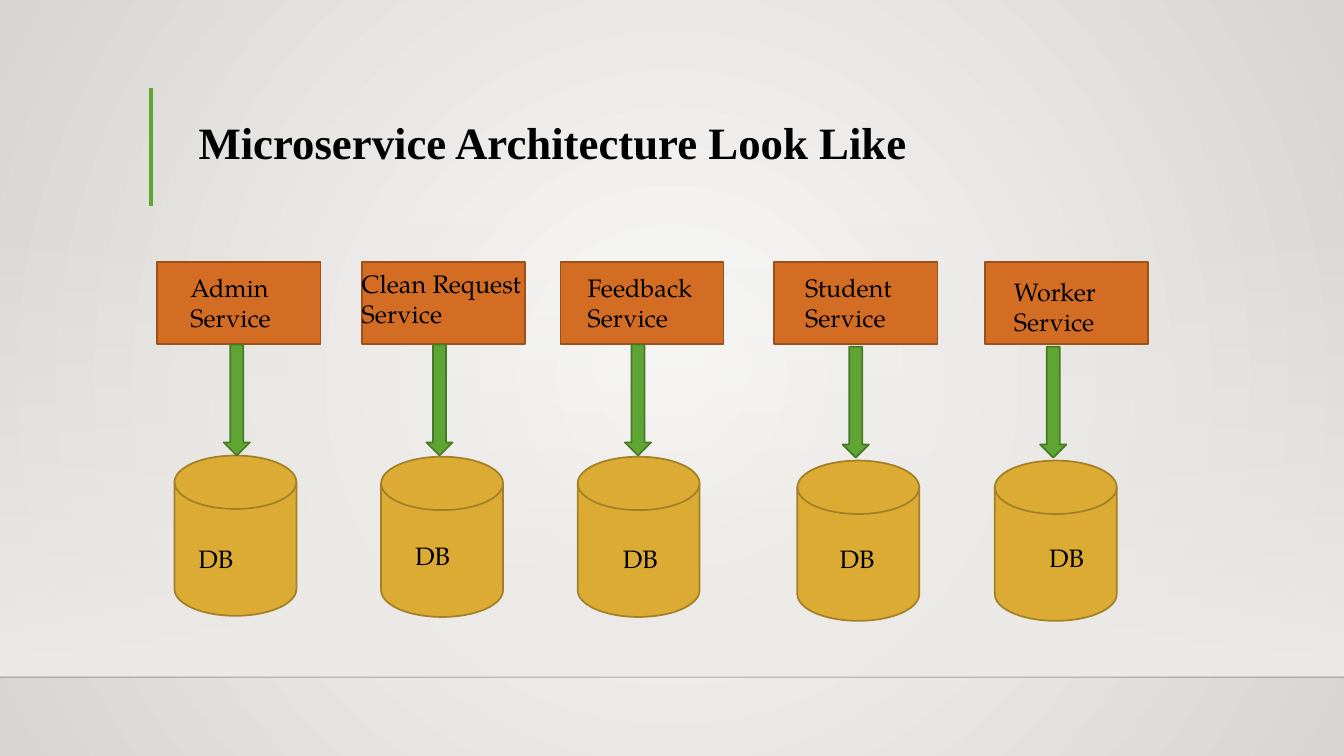
from lxml.etree import SubElement
from pptx import Presentation
from pptx.dml.color import RGBColor
from pptx.enum.shapes import MSO_CONNECTOR, MSO_SHAPE
from pptx.enum.text import MSO_ANCHOR, MSO_AUTO_SIZE, PP_ALIGN
from pptx.oxml.ns import qn
from pptx.util import Pt

COLORS = {
    "glow": "FAFAF9", "edge": "D7D5D2", "panel": "EDEBE7", "text": "000000",
    "floor": "000001", "green": "5FA534", "green_line": "467A26",
    "service": "D26D23", "service_line": "9B511A",
    "database": "DCAB34", "database_line": "A37F26",
}
BODY_FONT = {"name": "TeX Gyre Pagella", "size": Pt(18), "bold": False}
TITLE_FONT = {"name": "Times New Roman", "size": Pt(32), "bold": True}
PAGE_WIDTH, PAGE_HEIGHT = 960, 540
SERVICE_TOP, SERVICE_WIDTH, SERVICE_HEIGHT = 187, 116.6, 59
ARROW_WIDTH, ARROW_HEIGHT = 18.7, 79.2
DISK_WIDTH, DISK_HEIGHT = 87.1, 114.5
DB_WIDTH, DB_HEIGHT = 60, 29

# Service name, box left, label (left, top, width), arrow (left, top),
# disk (left, top), database label (left, top)
SERVICES = [
    ("Admin Service", 112.3, (128.9, 190.8, 74.9), (159.8, 246.2), (124.6, 325.4), (134.6, 384.5)),
    ("Clean Request Service", 258.5, (251.3, 187.9, 136.1), (304.6, 246.2), (272.2, 326.2), (289.4, 382.3)),
    ("Feedback Service", 400.3, (412.6, 190.8, 92.2), (446.4, 246.2), (412.6, 326.2), (437.8, 384.5)),
    ("Student Service", 553, (568.1, 190.8, 89.3), (601.9, 247.7), (569.5, 329), (592.6, 384.5)),
    ("Worker Service", 703.4, (717.1, 193.7, 89.3), (743, 247.7), (710.6, 329), (742.3, 383.8)),
]


def color(name):
    return RGBColor.from_string(COLORS[name])


def set_alpha(parent, percent):
    for node in parent.iter(qn("a:srgbClr")):
        SubElement(node, qn("a:alpha"), val=str(percent * 1000))


def set_gradient(fill, first, last):
    fill.gradient()
    for stop, name, position in zip(fill.gradient_stops, (first, last), (0, 1)):
        stop.color.rgb = color(name)
        stop.position = position


def set_background(page):
    fill = page.background.fill
    set_gradient(fill, "glow", "edge")
    gradient = next(page._element.iter(qn("a:gradFill")))
    gradient.remove(gradient.find(qn("a:lin")))
    path_node = SubElement(gradient, qn("a:path"), path="circle")
    SubElement(path_node, qn("a:fillToRect"), l="50000", t="50000", r="50000", b="50000")


def add_panel(page, left, top, width, height):
    panel = page.shapes.add_shape(MSO_SHAPE.RECTANGLE, Pt(left), Pt(top), Pt(width), Pt(height))
    panel.shadow.inherit = False
    panel.line.fill.background()
    set_gradient(panel.fill, "panel", "panel")
    panel.fill.gradient_angle = 270
    set_alpha(next(panel._element.iter(qn("a:gs"))), 0)


def add_rule(page, start, end, name, width, alpha=None):
    rule = page.shapes.add_connector(MSO_CONNECTOR.STRAIGHT, *map(Pt, start + end))
    rule.line.color.rgb = color(name)
    rule.line.width = Pt(width)
    if alpha is not None:
        set_alpha(rule._element.spPr, alpha)
    SubElement(rule._element.spPr, qn("a:effectLst"))


def add_block(page, kind, left, top, width, height, name):
    block = page.shapes.add_shape(kind, Pt(left), Pt(top), Pt(width), Pt(height))
    block.shadow.inherit = False
    block.fill.solid()
    block.fill.fore_color.rgb = color(name)
    block.line.color.rgb = color(name + "_line")
    block.line.width = Pt(1.25)


def write_text(box, text, font):
    frame = box.text_frame
    settings = {"word_wrap": True, "auto_size": MSO_AUTO_SIZE.SHAPE_TO_FIT_TEXT,
                "vertical_anchor": MSO_ANCHOR.TOP}
    for key, value in settings.items():
        setattr(frame, key, value)
    para = frame.paragraphs[0]
    para.alignment = PP_ALIGN.LEFT
    span = para.add_run()
    span.text = text
    for key, value in font.items():
        setattr(span.font, key, value)
    span.font.color.rgb = color("text")


def add_label(page, text, left, top, width, height):
    box = page.shapes.add_textbox(Pt(left), Pt(top), Pt(width), Pt(height))
    write_text(box, text, BODY_FONT)


def add_title(page, text):
    title = page.shapes.title
    place = {"left": 134.6, "top": 78.5, "width": 589.7, "height": 46}
    for key, value in place.items():
        setattr(title, key, Pt(value))
    write_text(title, text, TITLE_FONT)


def main():
    deck = Presentation()
    deck.slide_width, deck.slide_height = Pt(PAGE_WIDTH), Pt(PAGE_HEIGHT)
    page = deck.slides.add_slide(deck.slide_layouts[5])

    # Backdrop and title
    set_background(page)
    add_panel(page, 0, 158.4, PAGE_WIDTH, 324)
    add_rule(page, (0, 483.8), (PAGE_WIDTH, 483.8), "floor", 1, alpha=20)
    add_rule(page, (108, 62.6), (108, 146.9), "green", 3)
    add_title(page, "Microservice Architecture Look Like")

    # One column per service: box, database, arrow
    for name, left, label, arrow, disk, db_label in SERVICES:
        add_block(page, MSO_SHAPE.RECTANGLE, left, SERVICE_TOP,
                  SERVICE_WIDTH, SERVICE_HEIGHT, "service")
        add_label(page, name, *label, 51)
        add_block(page, MSO_SHAPE.FLOWCHART_MAGNETIC_DISK, *disk,
                  DISK_WIDTH, DISK_HEIGHT, "database")
        add_label(page, "DB", *db_label, DB_WIDTH, DB_HEIGHT)
        add_block(page, MSO_SHAPE.DOWN_ARROW, *arrow, ARROW_WIDTH, ARROW_HEIGHT, "green")

    deck.save("out.pptx")


if __name__ == "__main__":
    main()
